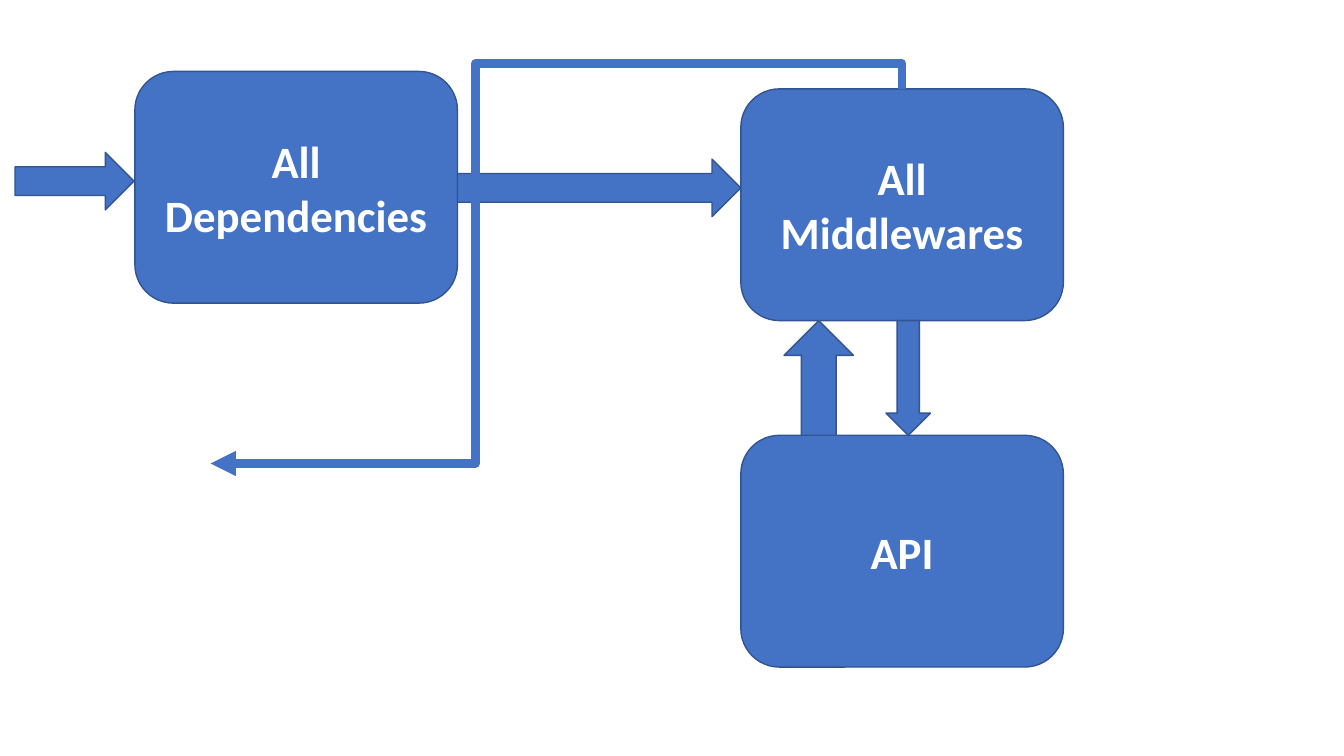
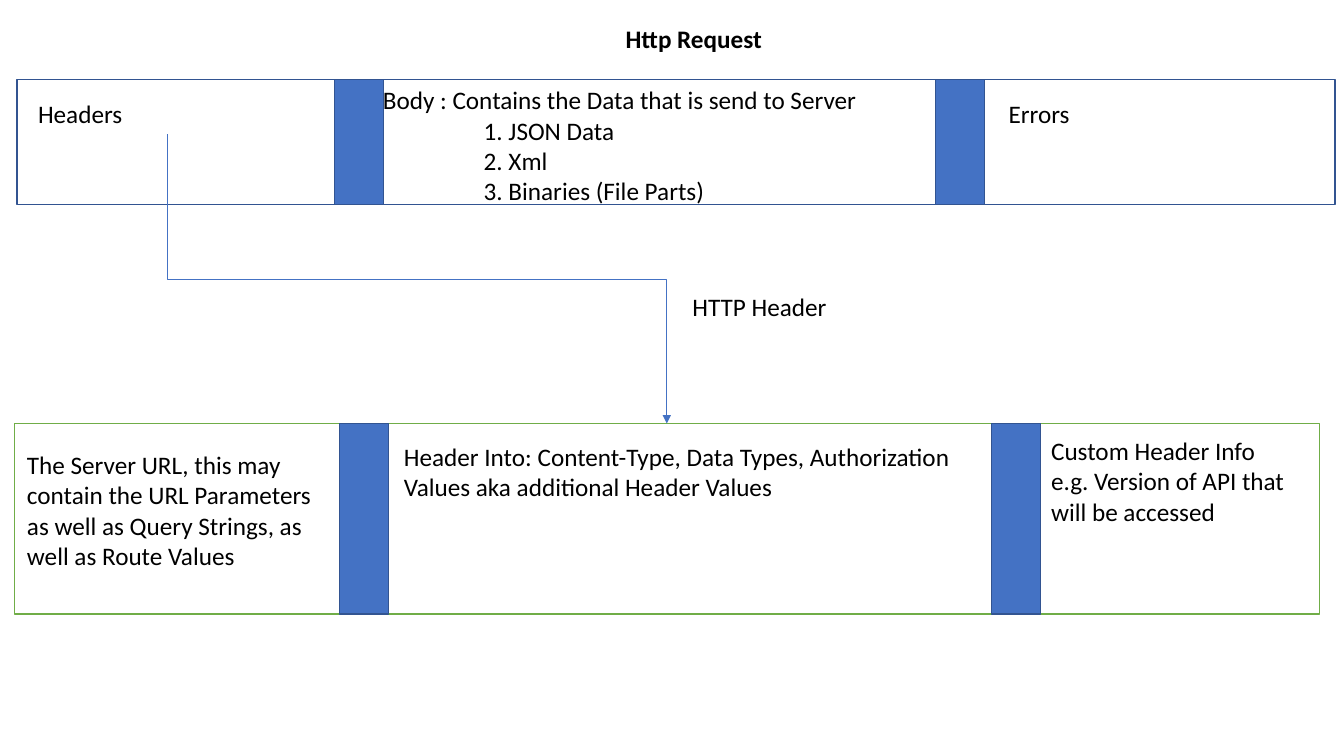
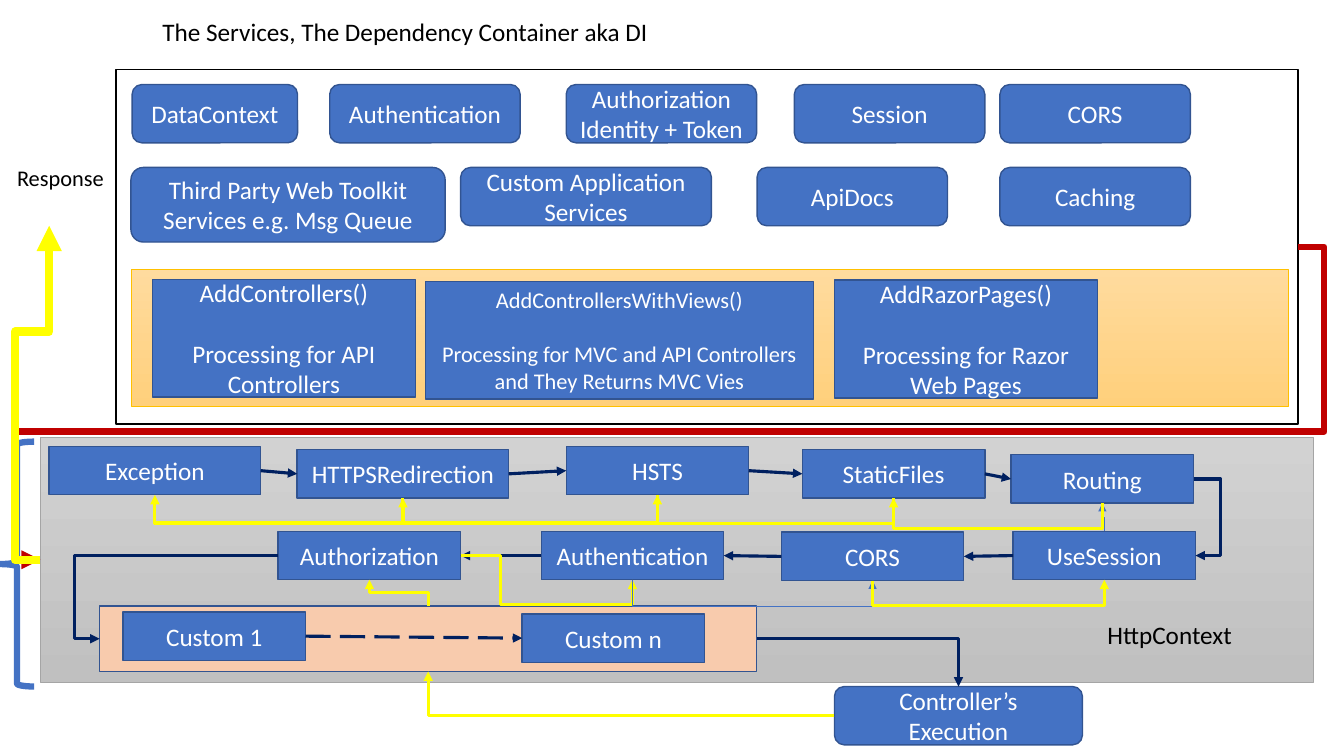
"""Build three slides on the request pipeline of a web API."""
from dataclasses import dataclass
from itertools import pairwise

from lxml.etree import SubElement
from pptx import Presentation
from pptx.dml.color import RGBColor
from pptx.enum.dml import MSO_LINE
from pptx.enum.shapes import MSO_CONNECTOR, MSO_SHAPE
from pptx.enum.text import MSO_ANCHOR, MSO_AUTO_SIZE, PP_ALIGN
from pptx.oxml.ns import qn
from pptx.util import Cm, Pt


@dataclass(frozen=True)
class Theme:
    """Colours, font and type sizes shared by the slides."""
    font: str = "Calibri"
    large: int = 32
    body: int = 18
    small: int = 16
    blue: str = "4472C4"
    edge: str = "325491"
    navy: str = "002060"
    yellow: str = "FFFF00"
    red: str = "C00000"
    green: str = "70AD47"
    peach: str = "F8CBAD"
    gold: str = "FFC000"
    grey: str = "A5A5A5"
    black: str = "000000"
    white: str = "FFFFFF"
    gold_fade: tuple = ("FFDB9E", "FFD07C")
    grey_fade: tuple = ("D2D2D2", "C0C0C0")


THEME = Theme()
TITLE_ONLY, BLANK = 5, 6
TOP, LEFT, BOTTOM, RIGHT = range(4)
TURNS = {RIGHT: 0, BOTTOM: 90, LEFT: 180, TOP: 270}


def color(code):
    """Turn a hex code into a colour."""
    return RGBColor.from_string(code)


def write(shape, text, size=THEME.body, ink=THEME.black, bold=False,
          align=PP_ALIGN.LEFT, anchor=MSO_ANCHOR.TOP, gap=0, indent=0):
    """Write text into a shape, one paragraph a line."""
    frame = shape.text_frame
    frame.word_wrap = True
    frame.vertical_anchor = anchor
    frame.text = text
    for number, para in enumerate(frame.paragraphs):
        para.alignment = align
        if number == 0 and gap:
            para.space_after = Pt(gap)
        if number > 0 and indent:
            properties = para._p.get_or_add_pPr()
            properties.set("marL", str(Cm(indent)))
            properties.set("indent", "0")
        for span in para.runs:
            span.font.name = THEME.font
            span.font.size = Pt(size)
            span.font.bold = bold
            span.font.color.rgb = color(ink)


def add_title(page, text, left, top, width, height, **style):
    """Move the title placeholder and write the title."""
    title = page.shapes.title
    title.left, title.top, title.width, title.height = map(Cm, (left, top, width, height))
    write(title, text, **style)


def add_label(page, text, left, top, width, height=1.02, **style):
    """Add a text box that fits its text."""
    label = page.shapes.add_textbox(*map(Cm, (left, top, width, height)))
    write(label, text, **style)
    label.text_frame.auto_size = MSO_AUTO_SIZE.SHAPE_TO_FIT_TEXT
    return label


def add_box(page, left, top, width, height, text="", kind=MSO_SHAPE.RECTANGLE,
            fill=THEME.blue, line=THEME.edge, weight=1, **style):
    """Add a preset shape, plain, faded or hollow, with centred text."""
    box = page.shapes.add_shape(kind, *map(Cm, (left, top, width, height)))
    box.shadow.inherit = False
    if fill is None:
        box.fill.background()
    elif isinstance(fill, tuple):
        box.fill.gradient()
        box.fill.gradient_angle = 270
        for stop, code in zip(box.fill.gradient_stops, fill):
            stop.color.rgb = color(code)
    else:
        box.fill.solid()
        box.fill.fore_color.rgb = color(fill)
    box.line.color.rgb = color(line)
    box.line.width = Pt(weight)
    if text:
        write(box, text, ink=THEME.white, align=PP_ALIGN.CENTER,
              anchor=MSO_ANCHOR.MIDDLE, **style)
    return box


def site(shape, side):
    """Find the middle of one side of a shape."""
    across, down = {TOP: (1, 0), LEFT: (0, 1), BOTTOM: (1, 2), RIGHT: (2, 1)}[side]
    return shape.left + shape.width * across // 2, shape.top + shape.height * down // 2


def route(connector, begin, end, side, bends):
    """Lead an elbow connector out of a side and through its bends."""
    span = end[0] - begin[0], end[1] - begin[1]
    turn = TURNS[side]
    if side == BOTTOM and min(span) > 0:
        turn = 270
    along, across = {0: span, 90: (span[1], -span[0]),
                     180: (-span[0], -span[1]), 270: (-span[1], span[0])}[turn]
    connector.width, connector.height = abs(along), abs(across)
    connector.left = (begin[0] + end[0] - abs(along)) // 2
    connector.top = (begin[1] + end[1] - abs(across)) // 2
    properties = connector._element.spPr
    frame = properties.find(qn("a:xfrm"))
    frame.set("rot", str(turn * 60000))
    frame.set("flipH", str(int(along < 0)))
    frame.set("flipV", str(int(across < 0)))
    geometry = properties.find(qn("a:prstGeom"))
    geometry.set("prst", f"bentConnector{len(bends) + 2}")
    values = geometry.find(qn("a:avLst"))
    first_axis = 0 if side in (LEFT, RIGHT) else 1
    for number, bend in enumerate(bends):
        axis = (first_axis + number) % 2
        share = round((Cm(bend) - begin[axis]) / span[axis] * 100000)
        SubElement(values, qn("a:gd"), name=f"adj{number + 1}", fmla=f"val {share}")


def link(page, source, side, target, target_side=None, bends=None,
         line=THEME.navy, weight=2.25, dash=None):
    """Add an arrow from a shape to a shape or point, bent if bends are given."""
    begin = site(source, side)
    end = tuple(map(Cm, target)) if target_side is None else site(target, target_side)
    kind = MSO_CONNECTOR.STRAIGHT if bends is None else MSO_CONNECTOR.ELBOW
    connector = page.shapes.add_connector(kind, *begin, *end)
    connector.begin_connect(source, side)
    if target_side is not None:
        connector.end_connect(target, target_side)
    if bends is not None:
        route(connector, begin, end, side, bends)
    connector.line.color.rgb = color(line)
    connector.line.width = Pt(weight)
    if dash:
        connector.line.dash_style = dash
    SubElement(connector.line._get_or_add_ln(), qn("a:tailEnd"), type="triangle")
    SubElement(connector._element.spPr, qn("a:effectLst"))


def build_overview(deck):
    """Show dependencies, middlewares and the API."""
    page = deck.slides.add_slide(deck.slide_layouts[BLANK])
    stages = [add_box(page, left, top, 8.13, 5.84, text, MSO_SHAPE.ROUNDED_RECTANGLE,
                      size=THEME.large, bold=True)
              for text, left, top in (("All\nDependencies", 3.4, 1.8),
                                      ("All\nMiddlewares", 18.67, 2.24),
                                      ("API", 18.67, 10.97))]
    for kind, *place in ((MSO_SHAPE.RIGHT_ARROW, 0.38, 3.84, 3, 1.45),
                         (MSO_SHAPE.RIGHT_ARROW, 11.53, 4.01, 7.14, 1.45),
                         (MSO_SHAPE.DOWN_ARROW, 22.33, 8.08, 1.12, 2.89),
                         (MSO_SHAPE.UP_ARROW, 19.76, 8.08, 1.75, 2.89)):
        add_box(page, *place, kind=kind)
    link(page, stages[1], TOP, (5.31, 11.68), bends=(1.6, 11.99),
         line=THEME.blue, weight=6)


def add_message(page, place, dividers, line):
    """Add a white frame cut by two solid dividers."""
    frame = add_box(page, *place, fill=THEME.white, line=line)
    for left in dividers:
        add_box(page, left, place[1], 1.24, place[3])
    return frame


def build_request(deck):
    """Show the parts of a request and of its header."""
    page = deck.slides.add_slide(deck.slide_layouts[TITLE_ONLY])
    add_title(page, "Http Request", 11.81, 0.46, 11.35, 1.02,
              bold=True, align=PP_ALIGN.CENTER)
    add_message(page, (0.43, 2.01, 33.22, 3.15), (8.43, 23.57), THEME.edge)
    headers = add_label(page, "Headers", 0.71, 2.36, 7.01)
    add_label(page, "Body : Contains the Data that is send to Server\n"
              "1. JSON Data\n2. Xml\n3. Binaries (File Parts)",
              9.4, 2.01, 14.17, 3.33, indent=2.54)
    add_label(page, "Errors", 25.17, 2.36, 7.32)
    header = add_message(page, (0.36, 10.67, 32.89, 4.8), (8.56, 24.99), THEME.green)
    link(page, headers, BOTTOM, header, TOP, (7.04,), line=THEME.blue, weight=0.5)
    add_label(page, "HTTP Header", 17.2, 7.21, 6.4)
    add_label(page, "The Server URL, this may contain the URL Parameters as well as "
              "Query Strings, as well as Route Values", 0.43, 11.2, 7.98, 3.33)
    add_label(page, "Header Into: Content-Type, Data Types, Authorization Values "
              "aka additional Header Values", 9.93, 11, 14.55, 1.8)
    add_label(page, "Custom Header Info\ne.g. Version of API that will be accessed",
              26.24, 10.85, 6.83, 2.57)


def add_services(page):
    """Add the dependency container and its services."""
    container = add_box(page, 2.92, 1.75, 29.79, 8.94, fill=THEME.white, line=THEME.black)
    for text, left, top, width, height in (
            ("DataContext", 3.33, 2.13, 4.17, 1.47),
            ("Authentication", 8.31, 2.13, 4.8, 1.47),
            ("Authorization\nIdentity + Token", 14.27, 2.13, 4.8, 1.47),
            ("Session", 20.02, 2.13, 4.8, 1.47),
            ("CORS", 25.2, 2.13, 4.8, 1.47),
            ("Third Party Web Toolkit Services e.g. Msg Queue", 3.3, 4.22, 7.92, 1.88),
            ("Custom Application\nServices", 11.61, 4.22, 6.32, 1.47),
            ("ApiDocs", 19.08, 4.22, 4.8, 1.47),
            ("Caching", 25.2, 4.22, 4.8, 1.47)):
        add_box(page, left, top, width, height, text, MSO_SHAPE.ROUNDED_RECTANGLE)
    add_box(page, 3.3, 6.78, 29.16, 3.45, fill=THEME.gold_fade, line=THEME.gold, weight=0.5)
    for text, left, top, width, size in (
            ("AddControllers()\nProcessing for API Controllers",
             3.84, 7.04, 6.63, THEME.body),
            ("AddControllersWithViews()\nProcessing for MVC and API Controllers "
             "and They Returns MVC Vies", 10.72, 7.09, 9.78, THEME.small),
            ("AddRazorPages()\nProcessing for Razor Web Pages",
             21.03, 7.06, 6.63, THEME.body)):
        add_box(page, left, top, width, 2.97, text, size=size, gap=size * 1.22)
    return container


def add_steps(page, *steps):
    """Add pipeline steps of one height."""
    return [add_box(page, left, top, width, 1.22, text)
            for text, left, top, width in steps]


def build_pipeline(deck):
    """Show the services and the middleware pipeline."""
    page = deck.slides.add_slide(deck.slide_layouts[TITLE_ONLY])
    add_title(page, "The Services, The Dependency Container aka DI",
              3.84, 0.28, 22.3, 1.07)
    container = add_services(page)
    context = add_box(page, 1.02, 11.02, 32.08, 6.17, fill=THEME.grey_fade,
                      line=THEME.grey, weight=0.5)
    add_box(page, 0, 11.13, 0.86, 6.17, kind=MSO_SHAPE.LEFT_BRACE, fill=None,
            line=THEME.blue, weight=4.5)
    upper = add_steps(page, ("Exception", 1.24, 11.25, 5.33),
                      ("HTTPSRedirection", 7.49, 11.33, 5.33),
                      ("HSTS", 14.27, 11.25, 4.6),
                      ("StaticFiles", 20.22, 11.33, 4.6),
                      ("Routing", 25.48, 11.46, 4.6))
    lower = add_steps(page, ("UseSession", 25.53, 13.39, 4.6),
                      ("CORS", 19.69, 13.41, 4.6),
                      ("Authentication", 13.64, 13.39, 4.6),
                      ("Authorization", 7.01, 13.39, 4.6))
    routing = upper[-1]
    session, cors, authentication, authorization = lower
    customs = add_box(page, 2.51, 15.27, 16.56, 1.65, fill=THEME.peach)
    first, last = add_steps(page, ("Custom 1", 3.1, 15.42, 4.6),
                            ("Custom n", 13.16, 15.47, 4.6))
    controller = add_box(page, 21.03, 17.3, 6.25, 1.47, "Controller’s Execution",
                         MSO_SHAPE.ROUNDED_RECTANGLE)

    link(page, container, RIGHT, context, LEFT, (33.38, 10.87, 0.38),
         line=THEME.red, weight=4.5)
    for step, following in pairwise(upper):
        link(page, step, RIGHT, following, LEFT)
    link(page, routing, RIGHT, session, RIGHT, (30.76,))
    for step, following in pairwise(lower):
        link(page, step, LEFT, following, RIGHT)
    link(page, authorization, LEFT, customs, LEFT, (1.88,))
    link(page, first, RIGHT, last, LEFT, dash=MSO_LINE.LONG_DASH)
    link(page, customs, RIGHT, controller, TOP, ())
    add_label(page, "HttpContext", 27.66, 15.47, 5.05)

    link(page, controller, LEFT, customs, BOTTOM, (), line=THEME.yellow)
    link(page, customs, TOP, authorization, BOTTOM, (14.94,), line=THEME.yellow)
    link(page, authorization, RIGHT, authentication, BOTTOM, (12.62, 15.24),
         line=THEME.yellow)
    link(page, authentication, BOTTOM, cors, BOTTOM, (15.27,),
         line=THEME.blue, weight=0.5)
    link(page, session, TOP, routing, BOTTOM, (13.03,), line=THEME.blue, weight=0.5)
    for (step, previous), bend in zip(pairwise(upper[::-1]), (13.31, 13.2, 13.18, 13.18)):
        link(page, step, BOTTOM, previous, BOTTOM, (bend,), line=THEME.yellow)
    link(page, cors, BOTTOM, session, BOTTOM, (15.27,), line=THEME.yellow)
    link(page, context, LEFT, (1.24, 5.69), bends=(0.38, 8.36),
         line=THEME.yellow, weight=6)
    add_label(page, "Response", 0.18, 4.01, 2.77, 0.94, size=THEME.small)


def main():
    """Build and save the deck."""
    deck = Presentation()
    deck.slide_width, deck.slide_height = Cm(33.87), Cm(19.05)
    build_overview(deck)
    build_request(deck)
    build_pipeline(deck)
    deck.save("out.pptx")


main()
